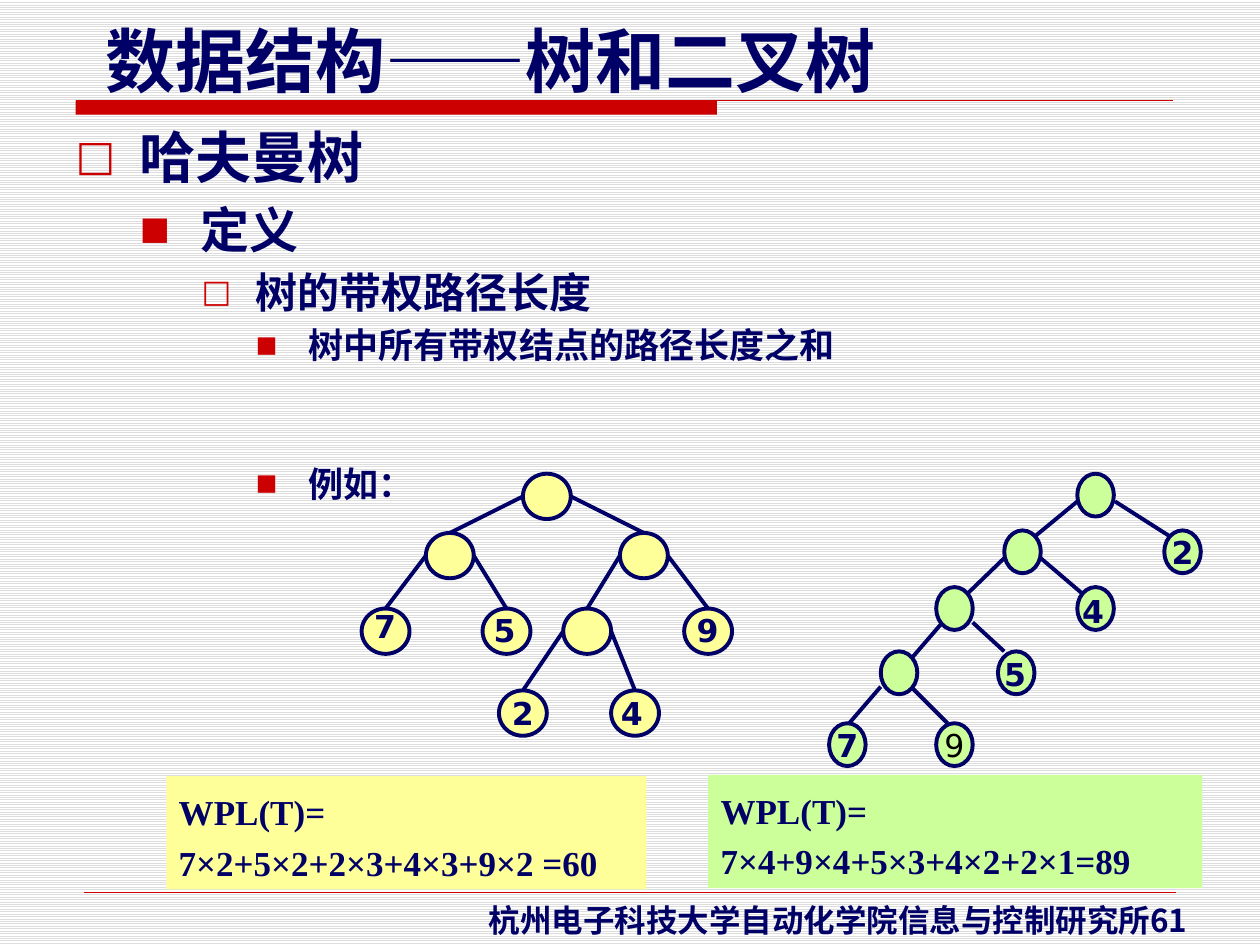
from lxml.etree import SubElement
from pptx import Presentation
from pptx.dml.color import RGBColor
from pptx.enum.dml import MSO_PATTERN
from pptx.enum.shapes import MSO_CONNECTOR, MSO_SHAPE
from pptx.enum.text import MSO_ANCHOR, MSO_AUTO_SIZE, PP_ALIGN
from pptx.oxml.ns import qn
from pptx.util import Inches, Pt

NAVY, RED, BLACK = "000066", "CC0000", "000000"
YELLOW, GREEN = "FFFF99", "CCFF99"
SANS, SERIF = "DejaVu Sans", "Times New Roman"


def color(value):
    return RGBColor.from_string(value)


def box(left, top, width, height):
    return Inches(left), Inches(top), Inches(width), Inches(height)


class SlideBuilder:
    """Draws on one slide; shapes is the slide's tree or the current group."""

    def __init__(self, slide):
        self.slide = slide
        self.shapes = slide.shapes

    def background(self):
        fill = self.slide.background.fill
        fill.patterned()
        fill.pattern = MSO_PATTERN.LIGHT_HORIZONTAL
        fill.fore_color.rgb = color("DDDDDD")
        fill.back_color.rgb = color("FFFFFF")

    def start_group(self):
        self.shapes = self.slide.shapes.add_group_shape().shapes

    def end_group(self):
        self.shapes = self.slide.shapes

    def run(self, paragraph, text, size, font=SANS, ink=NAVY, bold=True):
        run = paragraph.add_run()
        run.text = text
        run.font.size = Pt(size)
        run.font.name = font
        run.font.bold = bold
        run.font.color.rgb = color(ink)

    def place(self, shape, left, top, width, height):
        shape.left, shape.top, shape.width, shape.height = box(left, top, width, height)

    def title(self, position, runs):
        shape = self.slide.shapes.title
        self.place(shape, *position)
        frame = shape.text_frame
        frame.word_wrap = False
        frame.auto_size = MSO_AUTO_SIZE.SHAPE_TO_FIT_TEXT
        frame.vertical_anchor = MSO_ANCHOR.TOP
        paragraph = frame.paragraphs[0]
        paragraph.alignment = PP_ALIGN.LEFT
        for text, font in runs:
            self.run(paragraph, text, 40, font)

    def bullet(self, paragraph, char, percent, indent, hanging):
        properties = paragraph._p.get_or_add_pPr()
        properties.set("marL", str(Inches(indent)))
        properties.set("indent", str(-Inches(hanging)))
        bullet_color = SubElement(properties, qn("a:buClr"))
        SubElement(bullet_color, qn("a:srgbClr"), val=RED)
        SubElement(properties, qn("a:buSzPct"), val=str(percent * 1000))
        SubElement(properties, qn("a:buFont"), typeface=SANS)
        SubElement(properties, qn("a:buChar"), char=char)

    def body(self, position, items):
        levels = [("□", 75, 0.51, 0.51, 32), ("■", 65, 0.99, 0.48, 28),
                  ("□", 75, 1.43, 0.43, 24), ("■", 65, 1.85, 0.42, 20)]
        shape = self.slide.placeholders[1]
        self.place(shape, *position)
        frame = shape.text_frame
        frame.auto_size = MSO_AUTO_SIZE.NONE
        for index, (level, space, text) in enumerate(items):
            paragraph = frame.add_paragraph() if index else frame.paragraphs[0]
            char, percent, indent, hanging, size = levels[level]
            paragraph.level = level
            self.bullet(paragraph, char, percent, indent, hanging)
            paragraph.space_before = Pt(space)
            self.run(paragraph, text, size)

    def shape(self, kind, position, fill, line=None):
        shape = self.shapes.add_shape(kind, *box(*position))
        shape.shadow.inherit = False
        shape.fill.solid()
        shape.fill.fore_color.rgb = color(fill)
        if line:
            shape.line.color.rgb = color(line)
            shape.line.width = Pt(2.25)
        else:
            shape.line.fill.background()
        return shape

    def line(self, start, end, ink=NAVY, width=2.25):
        connector = self.shapes.add_connector(
            MSO_CONNECTOR.STRAIGHT, *map(Inches, (*start, *end)))
        connector.line.color.rgb = color(ink)
        connector.line.width = Pt(width)
        SubElement(connector._element.spPr, qn("a:effectLst"))

    def node(self, left, top, size, fill, label="", ink=NAVY, bold=True):
        shape = self.shape(MSO_SHAPE.OVAL, (left, top, *size), fill, NAVY)
        if label:
            frame = shape.text_frame
            frame.word_wrap = False
            frame.vertical_anchor = MSO_ANCHOR.MIDDLE
            paragraph = frame.paragraphs[0]
            paragraph.alignment = PP_ALIGN.CENTER
            self.run(paragraph, label, 18, ink=ink, bold=bold)

    def text(self, position, runs):
        frame = self.shapes.add_textbox(*box(*position)).text_frame
        frame.word_wrap = False
        frame.auto_size = MSO_AUTO_SIZE.SHAPE_TO_FIT_TEXT
        for text, font in runs:
            self.run(frame.paragraphs[0], text, 18, font)

    def formula(self, position, fill, text):
        frame = self.shape(MSO_SHAPE.RECTANGLE, position, fill).text_frame
        frame.word_wrap = True
        frame.vertical_anchor = MSO_ANCHOR.TOP
        paragraph = frame.paragraphs[0]
        paragraph.alignment = PP_ALIGN.LEFT
        paragraph.line_spacing = 1.2
        self.run(paragraph, text, 20, SERIF)


def draw_balanced_tree(builder):
    width, height = size = (0.38, 0.36)
    nodes = {
        "root": (4.15, 3.76), "left": (3.38, 4.23), "right": (4.92, 4.23),
        "seven": (2.87, 4.83), "five": (3.83, 4.83), "inner": (4.47, 4.83),
        "nine": (5.43, 4.83), "two": (3.96, 5.48), "four": (4.85, 5.48),
    }
    children = {"root": ("left", "right"), "left": ("seven", "five"),
                "right": ("inner", "nine"), "inner": ("two", "four")}
    builder.start_group()
    for name, (left, top) in nodes.items():
        builder.node(left, top, size, YELLOW, "2" if name == "two" else "")
    for parent, pair in children.items():
        left, top = nodes[parent]
        for side, child in zip((left, left + width), pair):
            child_left, child_top = nodes[child]
            builder.line((side, top + height / 2), (child_left + width / 2, child_top))
    for left, top, label in [(2.87, 4.77, "7"), (3.82, 4.8, "5"),
                             (4.83, 5.46, "4"), (5.43, 4.8, "9")]:
        builder.text((left, top, 0.38, 0.4), [(label, SANS)])
    builder.end_group()


def draw_skewed_tree(builder):
    size = (0.29, 0.34)
    builder.start_group()
    for left, top in [(8.55, 3.76), (7.97, 4.21), (7.43, 4.66), (8.55, 4.66),
                      (6.99, 5.17), (7.92, 5.17)]:
        builder.node(left, top, size, GREEN)
    builder.node(9.24, 4.21, size, GREEN, "2")
    builder.node(6.58, 5.74, size, GREEN, "7")
    builder.node(7.43, 5.74, size, GREEN, "9", BLACK, False)
    for left, top, label in [(7.87, 5.15, "5"), (8.49, 4.65, "4")]:
        builder.text((left, top, 0.38, 0.4), [(label, SANS)])
    edges = [
        ((8.85, 3.98), (9.29, 4.26)), ((8.55, 3.98), (8.21, 4.26)),
        ((8.26, 4.43), (8.6, 4.72)), ((7.97, 4.43), (7.67, 4.72)),
        ((7.72, 4.94), (7.97, 5.17)), ((7.48, 4.94), (7.23, 5.23)),
        ((6.99, 5.45), (6.74, 5.74)), ((7.23, 5.45), (7.52, 5.74)),
    ]
    for start, end in edges:
        builder.line(start, end)
    builder.end_group()


def main():
    presentation = Presentation()
    presentation.slide_width, presentation.slide_height = Inches(10), Inches(7.5)
    builder = SlideBuilder(presentation.slides.add_slide(presentation.slide_layouts[1]))
    builder.background()
    builder.shape(MSO_SHAPE.RECTANGLE, (0.6, 0.8, 5.09, 0.11), RED)
    builder.line((0.6, 0.8), (9.31, 0.8), RED, 0.75)
    builder.line((0.67, 7.08), (9.33, 7.08), RED, 0.25)
    builder.title((0.74, 0.09, 6.33, 0.77),
                  [("数据结构", SANS), ("——", "Arial"), ("树和二叉树", SANS)])
    builder.text((3.78, 7.1, 6.11, 0.4),
                 [("杭州电子科技大学自动化学院信息与控制研究所", SERIF),
                  ("61", "Noto Sans CJK SC")])
    builder.body((0.5, 0.92, 9.3, 5.96), [
        (0, 0, "哈夫曼树"),
        (1, 5.6, "定义"),
        (2, 4.8, "树的带权路径长度"),
        (3, 4, "树中所有带权结点的路径长度之和"),
        (3, 55, "例如："),
    ])
    draw_balanced_tree(builder)
    builder.formula((1.32, 6.16, 3.81, 0.9), YELLOW, "WPL(T)= 7×2+5×2+2×3+4×3+9×2 =60")
    builder.formula((5.62, 6.15, 3.92, 0.9), GREEN, "WPL(T)= 7×4+9×4+5×3+4×2+2×1=89")
    draw_skewed_tree(builder)
    presentation.save("out.pptx")


if __name__ == "__main__":
    main()
